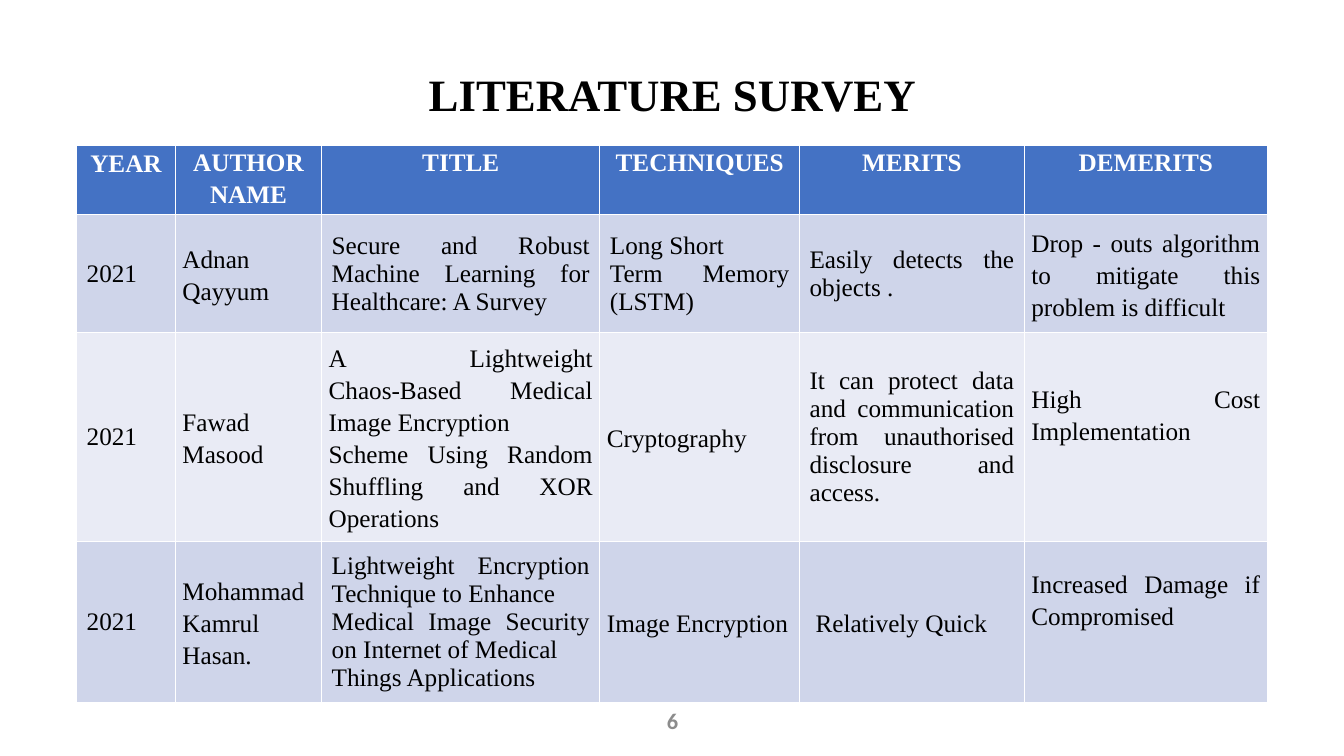
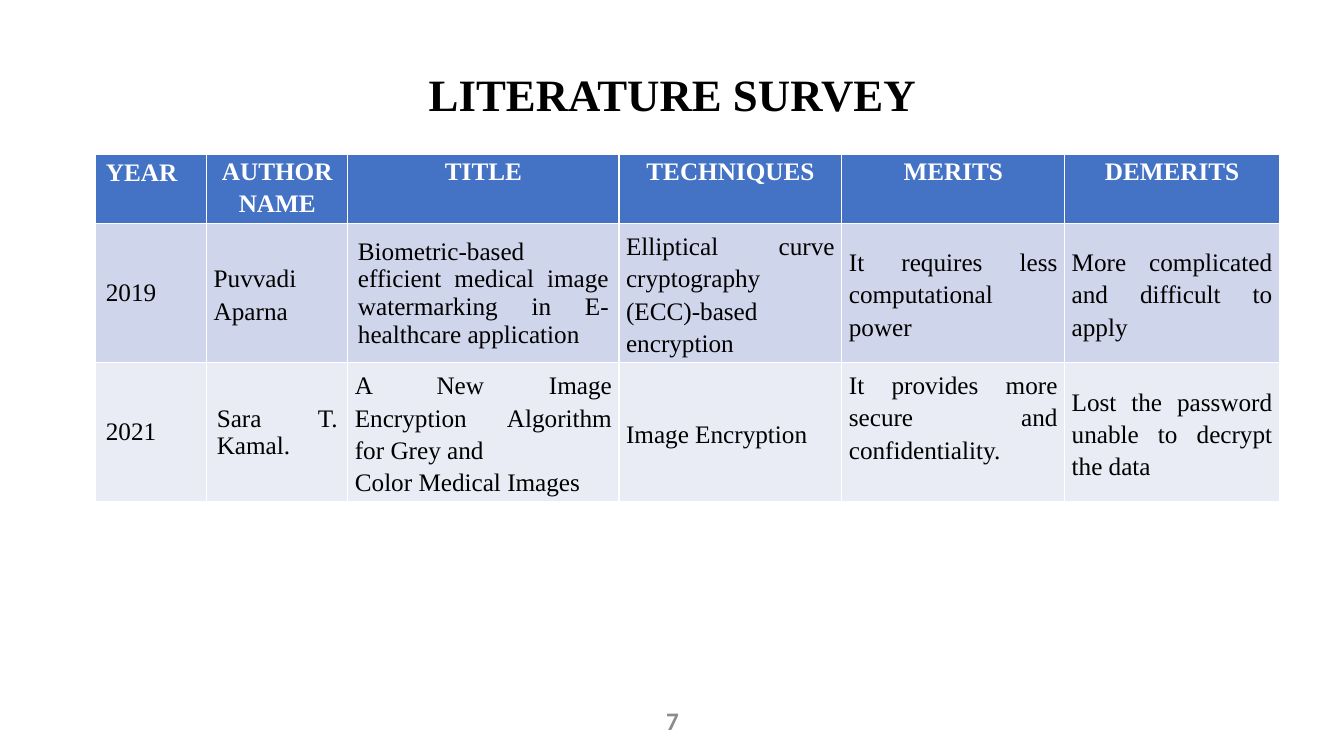
from dataclasses import dataclass

from lxml import etree
from pptx import Presentation
from pptx.dml.color import RGBColor
from pptx.enum.text import MSO_ANCHOR, PP_ALIGN
from pptx.oxml.ns import qn
from pptx.util import Pt

EMU_PER_PX = 9144
TOP, MIDDLE = MSO_ANCHOR.TOP, MSO_ANCHOR.MIDDLE
LEFT, CENTER, JUSTIFY = PP_ALIGN.LEFT, PP_ALIGN.CENTER, PP_ALIGN.JUSTIFY
SERIF, SANS = "Times New Roman", "Calibri"
COLORS = {
    "ink": "000000",
    "white": "FFFFFF",
    "header": "4472C4",
    "odd": "CFD5EA",
    "even": "E9EBF5",
    "number": "8C8C8C",
}
SLIDE_SIZE = (1333, 750)
TITLE_BOX = (217, 30, 900, 125)
NUMBER_BOX = (442, 695, 450, 40)
HEADINGS = ("YEAR", "AUTHOR NAME", "TITLE", "TECHNIQUES", "MERITS", "DEMERITS")


@dataclass(frozen=True)
class Layout:
    """Insets in px (left, top, right, bottom) and line spacing of a cell."""

    insets: tuple
    spacing: float


PLAIN = Layout((10, 5, 10, 5), 1.0)
LOOSE = Layout((7, 0, 7, 0), 1.15)
INDENTED = Layout((16, 0, 7, 0), 1.15)
RAISED = Layout((7, 0, 7, 32), 1.15)
RAISED_MORE = Layout((7, 0, 7, 46), 1.15)

SURVEYS = [
    {
        "number": "6",
        "number_size": 16,
        "origin": (76, 144),
        "columns": (98, 145, 276, 198, 223, 241),
        "rows": (65, 117, 196, 151),
        "year_align": CENTER,
        "papers": [
            [
                ("2021", PLAIN),
                ("Adnan Qayyum", LOOSE),
                ("Secure and Robust Machine Learning for Healthcare: A Survey", PLAIN),
                ("Long Short\nTerm Memory (LSTM)", PLAIN),
                ("Easily detects the objects .", PLAIN),
                ("Drop - outs algorithm to mitigate this problem is difficult", LOOSE),
            ],
            [
                ("2021", PLAIN),
                ("Fawad Masood", LOOSE),
                ("A Lightweight Chaos‑Based Medical Image Encryption\n"
                 "Scheme Using Random Shuffling and XOR Operations", LOOSE),
                ("Cryptography", LOOSE),
                ("It can protect data and communication from unauthorised "
                 "disclosure and access.", PLAIN),
                ("High Cost Implementation", RAISED_MORE),
            ],
            [
                ("2021", PLAIN),
                ("Mohammad Kamrul Hasan.", LOOSE),
                ("Lightweight Encryption Technique to Enhance\n"
                 "Medical Image Security on Internet of Medical\n"
                 "Things Applications", PLAIN),
                ("Image Encryption", LOOSE),
                ("Relatively Quick", INDENTED),
                ("Increased Damage if Compromised", RAISED_MORE),
            ],
        ],
    },
    {
        "number": "7",
        "number_size": 18,
        "origin": (95, 153),
        "columns": (110, 140, 269, 221, 221, 213),
        "rows": (67, 134, 134),
        "year_align": LEFT,
        "papers": [
            [
                ("2019", PLAIN),
                ("Puvvadi Aparna", LOOSE),
                ("Biometric-based efficient medical image watermarking in "
                 "E-healthcare application", PLAIN),
                ("Elliptical curve cryptography (ECC)-based encryption", LOOSE),
                ("It requires less computational power", LOOSE),
                ("More complicated and difficult to apply", LOOSE),
            ],
            [
                ("2021", PLAIN),
                ("Sara T. Kamal.", PLAIN),
                ("A New Image Encryption Algorithm for Grey and\n"
                 "Color Medical Images", LOOSE),
                ("Image Encryption", LOOSE),
                ("It provides more secure and confidentiality.", RAISED),
                ("Lost the password unable to decrypt the data", LOOSE),
            ],
        ],
    },
]


def px(length):
    """Turn px into EMU."""
    return length * EMU_PER_PX


def rgb(name):
    """Look up a named colour."""
    return RGBColor.from_string(COLORS[name])


def style_text(frame, font, size, color, bold, align, spacing=1.0):
    """Format every paragraph and run of a text frame."""
    for paragraph in frame.paragraphs:
        paragraph.alignment = align
        paragraph.line_spacing = spacing
        for run in paragraph.runs:
            run.font.name = font
            run.font.size = Pt(size)
            run.font.bold = bold
            run.font.color.rgb = rgb(color)


def add_label(slide, box, text, font, size, color):
    """Place a bold centred label in the middle of a box."""
    frame = slide.shapes.add_textbox(*map(px, box)).text_frame
    frame.word_wrap = True
    frame.vertical_anchor = MIDDLE
    frame.text = text
    style_text(frame, font, size, color, True, CENTER)


def add_borders(cell):
    """Draw thin white lines on all four sides of a cell."""
    properties = cell._tc.get_or_add_tcPr()
    for side in ("a:lnL", "a:lnR", "a:lnT", "a:lnB"):
        line = etree.SubElement(properties, qn(side), w=str(Pt(1)))
        fill = etree.SubElement(line, qn("a:solidFill"))
        etree.SubElement(fill, qn("a:srgbClr"), val=COLORS["white"])


def fill_cell(cell, text, layout, background, color, bold, align, anchor):
    """Write one cell with its insets, fill and borders."""
    (cell.margin_left, cell.margin_top,
     cell.margin_right, cell.margin_bottom) = map(px, layout.insets)
    cell.vertical_anchor = anchor
    add_borders(cell)
    cell.fill.solid()
    cell.fill.fore_color.rgb = rgb(background)
    cell.text_frame.text = text
    style_text(cell.text_frame, SERIF, 18, color, bold, align, layout.spacing)


def add_survey_table(slide, survey):
    """Build the table of papers from its origin, columns and rows."""
    columns, rows = survey["columns"], survey["rows"]
    box = (*survey["origin"], sum(columns), sum(rows))
    table = slide.shapes.add_table(len(rows), len(columns), *map(px, box)).table
    table.horz_banding = False
    for column, width in zip(table.columns, columns):
        column.width = px(width)
    for row, height in zip(table.rows, rows):
        row.height = px(height)
    for index, heading in enumerate(HEADINGS):
        layout, align = (LOOSE, CENTER) if index else (PLAIN, survey["year_align"])
        fill_cell(table.cell(0, index), heading, layout, "header", "white",
                  True, align, TOP)
    for number, paper in enumerate(survey["papers"], 1):
        background = "odd" if number % 2 else "even"
        for index, (text, layout) in enumerate(paper):
            fill_cell(table.cell(number, index), text, layout, background, "ink",
                      False, JUSTIFY, MIDDLE)


def add_survey_slide(deck, survey):
    """Add one literature survey slide."""
    slide = deck.slides.add_slide(deck.slide_layouts[6])
    add_label(slide, TITLE_BOX, "LITERATURE SURVEY", SERIF, 32, "ink")
    add_survey_table(slide, survey)
    add_label(slide, NUMBER_BOX, survey["number"], SANS, survey["number_size"], "number")


def main():
    """Build and save the deck."""
    deck = Presentation()
    deck.slide_width, deck.slide_height = map(px, SLIDE_SIZE)
    for survey in SURVEYS:
        add_survey_slide(deck, survey)
    deck.save("out.pptx")


if __name__ == "__main__":
    main()
